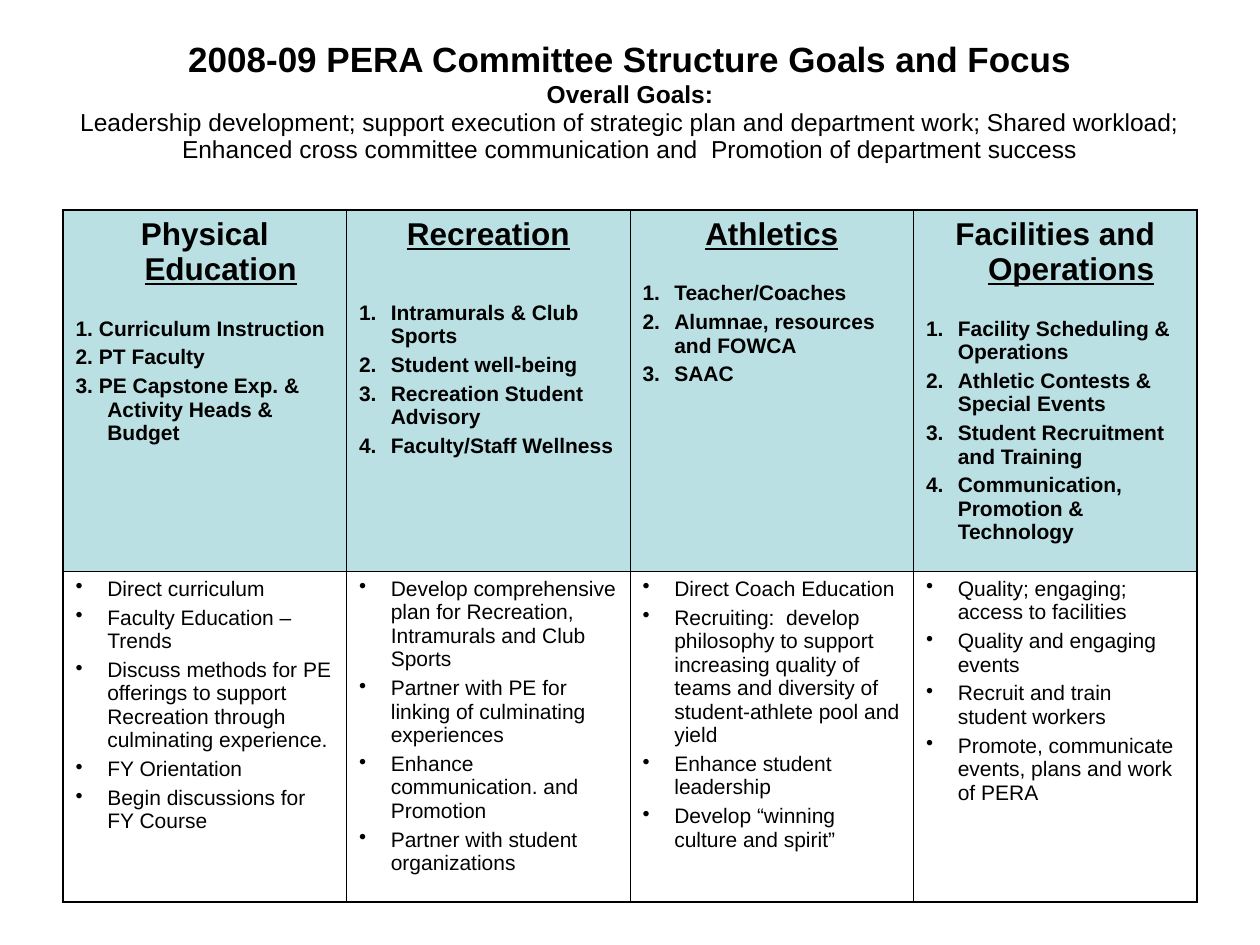
from dataclasses import dataclass

from lxml import etree
from pptx import Presentation
from pptx import util as u
from pptx.dml.color import RGBColor
from pptx.enum import text
from pptx.oxml import ns


@dataclass(frozen=True)
class Theme:
    font: str = "Arial"
    ink: str = "000000"
    header: str = "BBE0E3"
    title: float = 20
    subtitle: float = 14
    heading: float = 18
    body: float = 12
    outer: float = 1.08
    inner: float = 0.45


HEADER = [
    ("Physical ", "Education", 17, None,
     ["1. Curriculum Instruction", "2. PT Faculty",
      "3. PE Capstone Exp. & Activity Heads & Budget"]),
    ("", "Recreation", 28, "number",
     ["Intramurals & Club Sports", "Student well-being",
      "Recreation Student Advisory", "Faculty/Staff Wellness"]),
    ("", "Athletics", 17, "number",
     ["Teacher/Coaches", "Alumnae, resources and FOWCA", "SAAC"]),
    ("Facilities and ", "Operations", 17, "number",
     ["Facility Scheduling & Operations", "Athletic Contests & Special Events",
      "Student Recruitment and Training", "Communication, Promotion & Technology"]),
]

FOCUS = [
    ["Direct curriculum", "Faculty Education – Trends",
     "Discuss methods for PE offerings to support Recreation through culminating experience.",
     "FY Orientation", "Begin discussions for FY Course"],
    ["Develop comprehensive plan for Recreation, Intramurals and Club Sports",
     "Partner with PE for linking of culminating experiences",
     "Enhance communication. and Promotion", "Partner with student organizations"],
    ["Direct Coach Education",
     "Recruiting:  develop philosophy to support increasing quality of teams "
     "and diversity of student-athlete pool and yield",
     "Enhance student leadership", "Develop “winning culture and spirit”"],
    ["Quality; engaging; access to facilities", "Quality and engaging events",
     "Recruit and train student workers",
     "Promote, communicate events, plans and work of PERA"],
]


class Deck:
    def __init__(self, prs, theme):
        self.theme = theme
        self.s = prs.slides.add_slide(prs.slide_layouts[6])

    def style(self, p, size, bold):
        for r in p.runs:
            r.font.name = self.theme.font
            r.font.size = u.Pt(size)
            r.font.bold = bold
            r.font.color.rgb = RGBColor.from_string(self.theme.ink)

    def title(self, box, lines):
        tf = self.s.shapes.add_textbox(*map(u.Cm, box)).text_frame
        tf.word_wrap = True
        tf.vertical_anchor = text.MSO_ANCHOR.MIDDLE
        tf.text = "\n".join(line for line, _, _ in lines)
        for p, (_, size, bold) in zip(tf.paragraphs, lines):
            p.alignment = text.PP_ALIGN.CENTER
            p.line_spacing = 0.95
            self.style(p, size, bold)

    def hang(self, p, before):
        p.space_before = u.Pt(before)
        pPr = p._p.get_or_add_pPr()
        pPr.set("marL", str(u.Cm(0.64)))
        pPr.set("indent", str(-u.Cm(0.64)))
        return pPr

    def heading(self, p, lead, underlined):
        self.hang(p, 4.5)
        p.alignment = text.PP_ALIGN.CENTER
        p.text = lead
        r = p.add_run()
        r.text = underlined
        r.font.underline = True
        self.style(p, self.theme.heading, True)

    def item(self, p, words, marker, bold, before=3):
        p.text = words
        pPr = self.hang(p, before)
        if marker == "number":
            etree.SubElement(pPr, ns.qn("a:buAutoNum"), type="arabicPeriod")
        elif marker:
            etree.SubElement(pPr, ns.qn("a:buChar"), char=marker)
        self.style(p, self.theme.body, bold)

    def borders(self, cell, widths):
        tcPr = cell._tc.get_or_add_tcPr()
        for i, (side, width) in enumerate(zip("LRTB", widths)):
            ln = etree.Element(ns.qn(f"a:ln{side}"), w=str(u.Pt(width)))
            fill = etree.SubElement(ln, ns.qn("a:solidFill"))
            etree.SubElement(fill, ns.qn("a:srgbClr"), val=self.theme.ink)
            tcPr.insert(i, ln)

    def table(self, box, heights, header, focus):
        t = self.theme
        n = len(header)
        tbl = self.s.shapes.add_table(2, n, *map(u.Cm, box)).table
        tbl.first_row = tbl.horz_banding = False
        for row, height in zip(tbl.rows, heights):
            row.height = u.Cm(height)
        for c, (lead, underlined, gap, marker, items) in enumerate(header):
            top, bottom = tbl.cell(0, c), tbl.cell(1, c)
            top.fill.solid()
            top.fill.fore_color.rgb = RGBColor.from_string(t.header)
            bottom.fill.background()
            left = t.inner if c else t.outer
            right = t.inner if c < n - 1 else t.outer
            self.borders(top, (left, right, t.outer, t.inner))
            self.borders(bottom, (left, right, t.inner, t.outer))

            tf = top.text_frame
            self.heading(tf.paragraphs[0], lead, underlined)
            for i, words in enumerate(items):
                self.item(tf.add_paragraph(), words, marker, True, 3 if i else gap)

            tf = bottom.text_frame
            tf.text = "\n".join(focus[c])
            for p in tf.paragraphs:
                self.item(p, p.text, "•", False)


def main():
    prs = Presentation()
    prs.slide_width, prs.slide_height = u.Cm(25.4), u.Cm(19.05)
    theme = Theme()
    deck = Deck(prs, theme)
    deck.title((1.27, 0.76, 22.86, 2.62), [
        ("2008-09 PERA Committee Structure Goals and Focus", theme.title, True),
        ("Overall Goals:", theme.subtitle, True),
        ("Leadership development; support execution of strategic plan and department work; "
         "Shared workload; Enhanced cross committee communication and  "
         "Promotion of department success", theme.subtitle, False),
    ])
    deck.table((1.27, 4.24, 22.86, 13.89), (7.26, 6.63), HEADER, FOCUS)
    prs.save("out.pptx")


if __name__ == "__main__":
    main()
